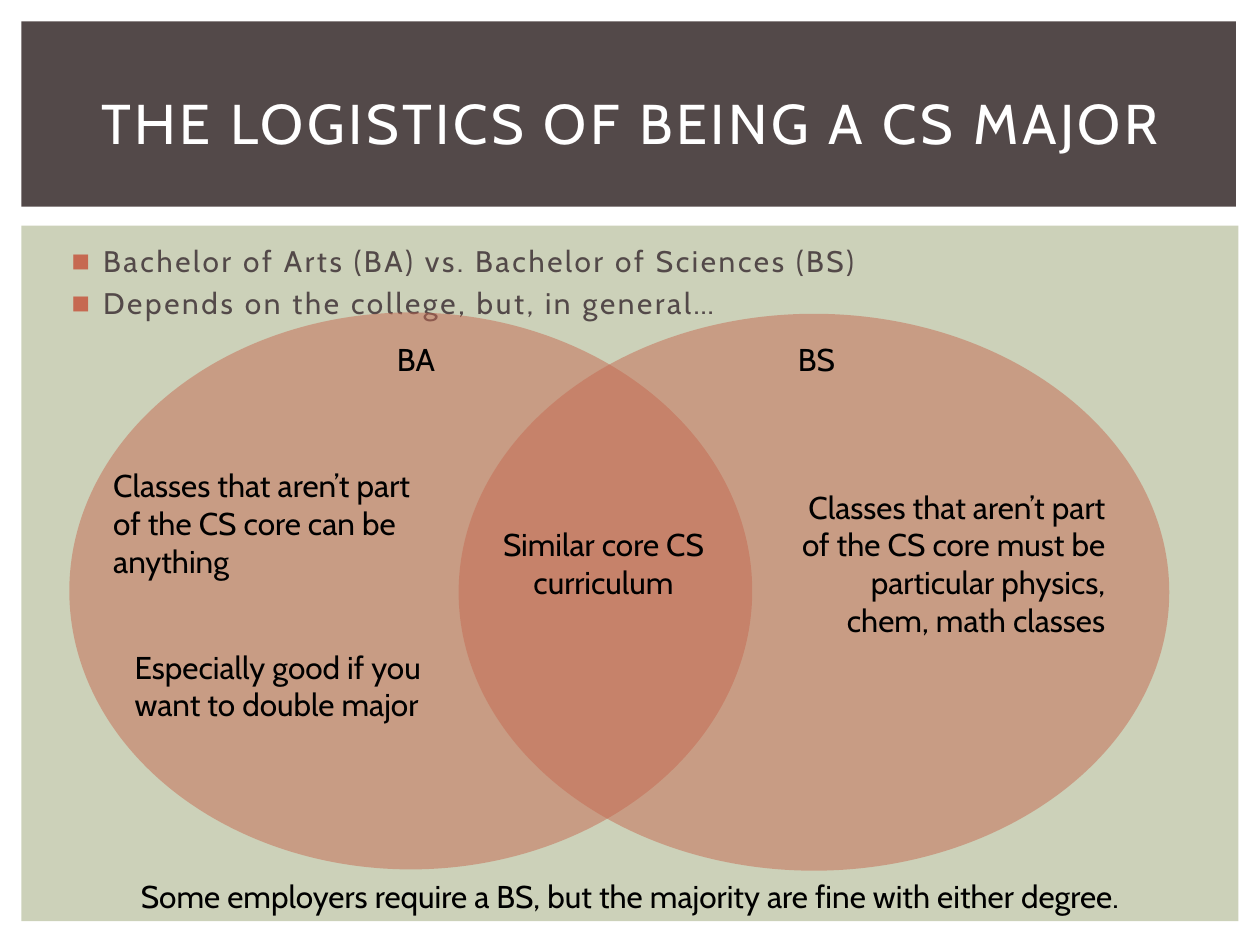
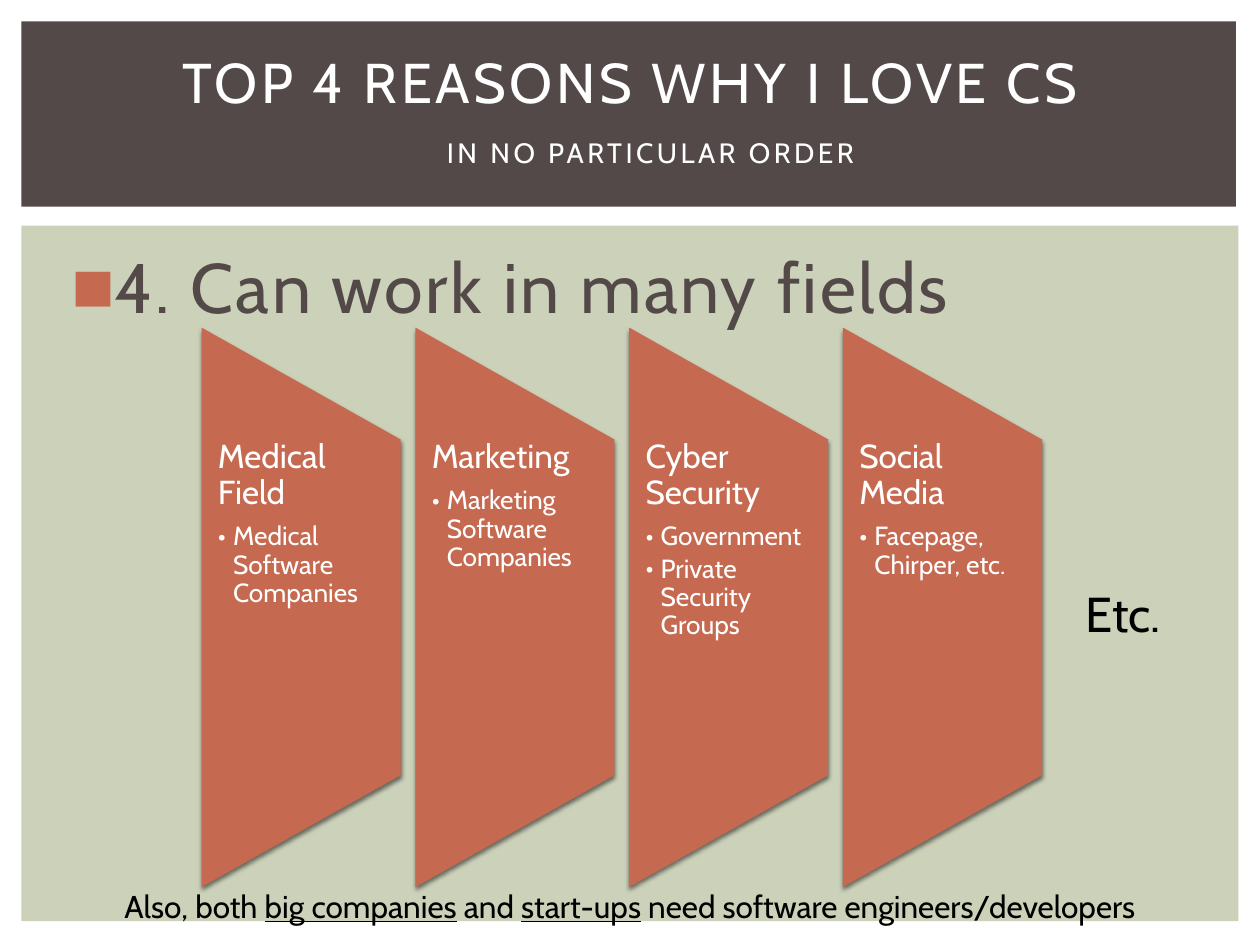
from dataclasses import dataclass

from lxml import etree
from pptx import Presentation
from pptx.dml.color import RGBColor
from pptx.enum.shapes import MSO_SHAPE
from pptx.enum.text import MSO_ANCHOR, PP_ALIGN
from pptx.oxml.ns import qn
from pptx.util import Inches, Pt

RECTANGLE = MSO_SHAPE.RECTANGLE
OVAL = MSO_SHAPE.OVAL
TRAPEZOID = MSO_SHAPE.FLOWCHART_MANUAL_OPERATION
LEFT, CENTER, RIGHT = PP_ALIGN.LEFT, PP_ALIGN.CENTER, PP_ALIGN.RIGHT
TOP, MIDDLE = MSO_ANCHOR.TOP, MSO_ANCHOR.MIDDLE

FONT = "Cabin"
BROWN = "534949"
SAGE = "CCD1B9"
RUST = "C66951"
WHITE = "FFFFFF"
BLACK = "000000"


@dataclass(frozen=True)
class Box:
    left: float
    top: float
    width: float
    height: float

    def lengths(self):
        return [Inches(value) for value in (self.left, self.top, self.width, self.height)]


@dataclass(frozen=True)
class Bullet:
    character: str
    color: str
    percent: int
    margin: float
    hanging: float


@dataclass(frozen=True)
class Label:
    text: str
    box: Box
    align: PP_ALIGN = LEFT
    size: float = 18


@dataclass(frozen=True)
class Field:
    name: str
    examples: tuple[str, ...]


SQUARE = Bullet("■", RUST, 65, 0.3, 0.25)
DOT = Bullet("•", WHITE, 100, 0.12, 0.12)

BODY_BAND = Box(0.17, 1.79, 9.66, 5.52)
TITLE_BAND = Box(0.17, 0.17, 9.64, 1.47)

DEGREE_CIRCLES = (Box(0.55, 2.48, 5.42, 4.42), Box(3.64, 2.49, 5.64, 4.42))
DEGREE_LABELS = (
    Label("Similar core CS curriculum", Box(3.87, 4.12, 1.84, 0.71), CENTER),
    Label("BA", Box(2.74, 2.65, 1.12, 0.42), CENTER),
    Label("BS", Box(5.92, 2.65, 1.12, 0.42), CENTER),
    Label("Classes that aren’t part of the CS core can be anything", Box(0.8, 3.65, 2.75, 1.01)),
    Label("Especially good if you want to double major", Box(0.97, 5.09, 2.75, 0.71)),
    Label(
        "Classes that aren’t part of the CS core must be particular physics, chem, math classes",
        Box(6.12, 3.82, 2.75, 1.31),
        RIGHT,
    ),
    Label(
        "Some employers require a BS, but the majority are fine with either degree.",
        Box(0, 6.91, 10, 0.4),
        CENTER,
    ),
)

FIELDS = (
    Field("Medical Field", ("Medical Software Companies",)),
    Field("Marketing", ("Marketing Software Companies",)),
    Field("Cyber Security", ("Government", "Private Security Groups")),
    Field("Social Media", ("Facepage, Chirper, etc.",)),
)
PANEL_LEFT, PANEL_CENTER_Y = 1.6, 4.82
PANEL_WIDTH, PANEL_HEIGHT = 1.58, 4.44
PANEL_PITCH = (6.69 - PANEL_LEFT) / (len(FIELDS) - 1)


def color(value: str) -> RGBColor:
    return RGBColor.from_string(value)


def add_filled_shape(slide, kind, box: Box, fill: str, opacity: int = 100):
    shape = slide.shapes.add_shape(kind, *box.lengths())
    shape.shadow.inherit = False
    shape.fill.solid()
    shape.fill.fore_color.rgb = color(fill)
    shape.line.fill.background()
    if opacity < 100:
        fill_color = shape._element.spPr.find(qn("a:solidFill"))[0]
        etree.SubElement(fill_color, qn("a:alpha"), val=str(opacity * 1000))
    return shape


def add_shadow(shape) -> None:
    effects = shape._element.spPr.find(qn("a:effectLst"))
    shadow = etree.SubElement(
        effects,
        qn("a:outerShdw"),
        blurRad=str(Pt(2.5)),
        dist=str(Pt(2)),
        dir="5400000",
        rotWithShape="0",
    )
    shadow_color = etree.SubElement(shadow, qn("a:srgbClr"), val=BLACK)
    etree.SubElement(shadow_color, qn("a:alpha"), val="50000")


def add_bullet(paragraph, bullet: Bullet) -> None:
    properties = paragraph._p.get_or_add_pPr()
    properties.set("marL", str(Inches(bullet.margin)))
    properties.set("indent", str(-Inches(bullet.hanging)))
    bullet_color = etree.SubElement(properties, qn("a:buClr"))
    etree.SubElement(bullet_color, qn("a:srgbClr"), val=bullet.color)
    etree.SubElement(properties, qn("a:buSzPct"), val=str(bullet.percent * 1000))
    etree.SubElement(properties, qn("a:buFont"), typeface=FONT)
    etree.SubElement(properties, qn("a:buChar"), char=bullet.character)


def add_paragraph(
    frame,
    text: str,
    *,
    size: float = 18,
    fill: str = BLACK,
    align: PP_ALIGN = LEFT,
    spacing: float = 0,
    bullet: Bullet | None = None,
    before: float = 0,
    after: float = 0,
    line_spacing: float = 1.0,
    underlined: tuple[str, ...] = (),
) -> None:
    first = len(frame.paragraphs) == 1 and not frame.paragraphs[0].runs
    paragraph = frame.paragraphs[0] if first else frame.add_paragraph()
    paragraph.alignment = align
    paragraph.line_spacing = line_spacing
    paragraph.space_before = Pt(0 if first else before)
    paragraph.space_after = Pt(after)
    if bullet:
        add_bullet(paragraph, bullet)
    pieces = [text]
    for phrase in underlined:
        start, end = pieces.pop().split(phrase)
        pieces += [start, phrase, end]
    for piece in pieces:
        run = paragraph.add_run()
        run.text = piece
        run.font.name = FONT
        run.font.size = Pt(size)
        run.font.color.rgb = color(fill)
        if piece in underlined:
            run.font.underline = True
        if spacing:
            run._r.get_or_add_rPr().set("spc", str(int(spacing * 100)))


def add_frame(slide, box: Box, anchor: MSO_ANCHOR = TOP):
    frame = slide.shapes.add_textbox(*box.lengths()).text_frame
    frame.word_wrap = True
    frame.vertical_anchor = anchor
    return frame


def add_title(slide, text: str, box: Box, size: float = 32) -> None:
    frame = add_frame(slide, box, MIDDLE)
    add_paragraph(frame, text, size=size, fill=WHITE, align=CENTER, spacing=2)


def add_body(slide, lines: tuple[str, ...], box: Box, size: float) -> None:
    frame = add_frame(slide, box)
    for line in lines:
        add_paragraph(
            frame, line, size=size, fill=BROWN, spacing=1.5, bullet=SQUARE, before=size * 0.2
        )


def add_label(slide, label: Label, underlined: tuple[str, ...] = ()) -> None:
    frame = add_frame(slide, label.box)
    add_paragraph(frame, label.text, size=label.size, align=label.align, underlined=underlined)


def add_banded_slide(presentation):
    slide = presentation.slides.add_slide(presentation.slide_layouts[6])
    add_filled_shape(slide, RECTANGLE, BODY_BAND, SAGE)
    add_filled_shape(slide, RECTANGLE, TITLE_BAND, BROWN)
    return slide


def add_field_panel(slide, field: Field, left: float) -> None:
    unrotated = Box(
        left + (PANEL_WIDTH - PANEL_HEIGHT) / 2,
        PANEL_CENTER_Y - PANEL_WIDTH / 2,
        PANEL_HEIGHT,
        PANEL_WIDTH,
    )
    panel = add_filled_shape(slide, TRAPEZOID, unrotated, RUST)
    panel.rotation = 270
    add_shadow(panel)
    frame = add_frame(slide, Box(left, 3.49, PANEL_WIDTH, 2.67))
    frame.margin_left = frame.margin_right = Inches(0.13)
    frame.margin_top = frame.margin_bottom = Inches(0)
    add_paragraph(frame, field.name, size=19, fill=WHITE, line_spacing=0.9, after=19 * 0.35)
    for example in field.examples:
        add_paragraph(
            frame, example, size=15, fill=WHITE, line_spacing=0.9, after=15 * 0.15, bullet=DOT
        )


def build_degree_slide(presentation) -> None:
    slide = add_banded_slide(presentation)
    lines = (
        "Bachelor of Arts (BA) vs. Bachelor of Sciences (BS)",
        "Depends on the college, but, in general…",
    )
    add_body(slide, lines, Box(0.42, 1.88, 9.19, 0.61), 17)
    add_title(slide, "THE LOGISTICS OF BEING A CS MAJOR", Box(0.42, 0.39, 9.17, 1.15))
    for circle in DEGREE_CIRCLES:
        add_filled_shape(slide, OVAL, circle, RUST, opacity=50)
    for label in DEGREE_LABELS:
        add_label(slide, label)


def build_fields_slide(presentation) -> None:
    slide = add_banded_slide(presentation)
    add_body(slide, ("4. Can work in many fields",), Box(0.42, 1.88, 9.19, 0.95), 40)
    add_title(slide, "TOP 4 REASONS WHY I LOVE CS", Box(0.42, 0.27, 9.17, 0.75))
    add_title(slide, "IN NO PARTICULAR ORDER", Box(0.58, 0.98, 9.17, 0.46), size=16)
    for index, field in enumerate(FIELDS):
        add_field_panel(slide, field, PANEL_LEFT + index * PANEL_PITCH)
    add_label(slide, Label("Etc.", Box(8.52, 4.58, 0.98, 0.57), size=28))
    employers = Label(
        "Also, both big companies and start-ups need software engineers/developers",
        Box(0, 6.99, 10, 0.4),
        CENTER,
    )
    add_label(slide, employers, underlined=("big companies", "start-ups"))


def main() -> None:
    presentation = Presentation()
    presentation.slide_width = Inches(10)
    presentation.slide_height = Inches(7.5)
    build_degree_slide(presentation)
    build_fields_slide(presentation)
    presentation.save("out.pptx")


if __name__ == "__main__":
    main()
